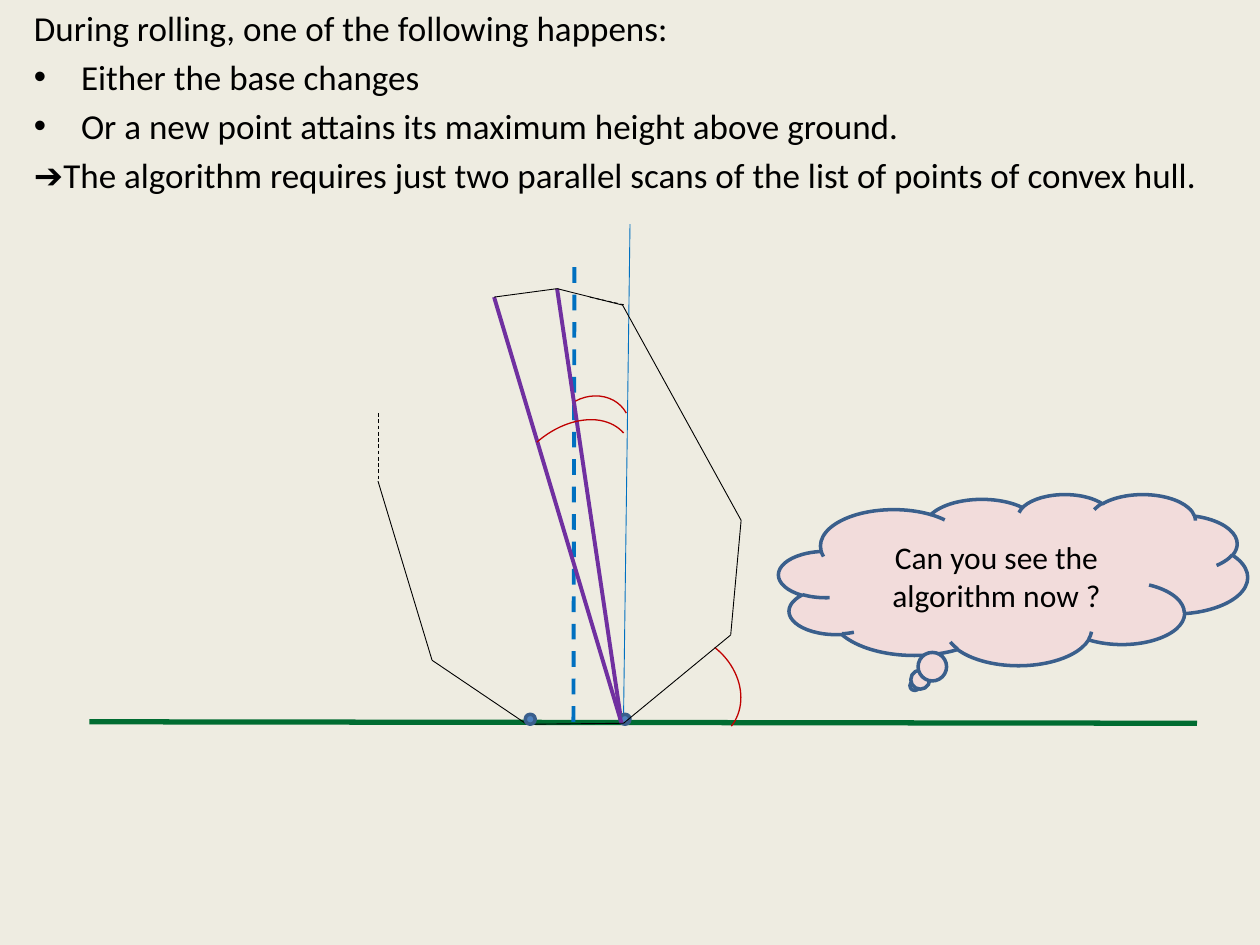
import itertools

import pptx
import pptx.dml.color
import pptx.enum.dml
import pptx.enum.shapes
import pptx.enum.text
import pptx.oxml.ns
import pptx.util
from lxml import etree

Cm = pptx.util.Cm
Pt = pptx.util.Pt
SHAPE = pptx.enum.shapes.MSO_SHAPE

COLORS = {
    "background": "EEECE1",
    "text": "000000",
    "ground": "006C31",
    "vertical": "0070C0",
    "diagonal": "7030A0",
    "hull": "000000",
    "angle": "C00000",
    "point": "4F81BD",
    "outline": "3A5F8C",
    "cloud": "F2DCDB",
}
FONT = "Calibri"
STATEMENTS = [
    ("During rolling, one of the following happens:", False),
    ("Either the base changes", True),
    ("Or a new point attains its maximum height above ground.", True),
    ("➔The algorithm requires just two parallel scans of the list of points of convex hull.", False),
]


def rgb(name):
    return pptx.dml.color.RGBColor.from_string(COLORS[name])


def style_font(paragraph, size):
    paragraph.font.name = FONT
    paragraph.font.size = Pt(size)
    paragraph.font.color.rgb = rgb("text")


def set_bullet(paragraph, bulleted):
    properties = paragraph._p.get_or_add_pPr()
    indent = Cm(0.95) if bulleted else 0
    properties.set("marL", str(indent))
    properties.set("indent", str(-indent))
    if bulleted:
        font = etree.SubElement(properties, pptx.oxml.ns.qn("a:buFont"))
        font.set("typeface", "Arial")
        bullet = etree.SubElement(properties, pptx.oxml.ns.qn("a:buChar"))
        bullet.set("char", "•")
    else:
        etree.SubElement(properties, pptx.oxml.ns.qn("a:buNone"))


def add_line(slide, box, start, end, color, width, dashed=False):
    left, top = box
    line = slide.shapes.add_connector(
        pptx.enum.shapes.MSO_CONNECTOR.STRAIGHT,
        Cm(left + start[0]), Cm(top + start[1]),
        Cm(left + end[0]), Cm(top + end[1]),
    )
    line.line.color.rgb = rgb(color)
    line.line.width = Pt(width)
    if dashed:
        line.line.dash_style = pptx.enum.dml.MSO_LINE.DASH
    etree.SubElement(line._element.spPr, pptx.oxml.ns.qn("a:effectLst"))


def add_outlined(slide, kind, left, top, width, height, line_color, line_width, fill=None):
    shape = slide.shapes.add_shape(kind, Cm(left), Cm(top), Cm(width), Cm(height))
    shape.shadow.inherit = False
    shape.line.color.rgb = rgb(line_color)
    shape.line.width = Pt(line_width)
    if fill:
        shape.fill.solid()
        shape.fill.fore_color.rgb = rgb(fill)
    else:
        shape.fill.background()
    return shape


def add_point(slide, box, x, y):
    add_outlined(slide, SHAPE.OVAL, box[0] + x, box[1] + y, 0.2, 0.2, "outline", 2, "point")


def add_angle(slide, box, x, y, width, height, rotation):
    arc = add_outlined(slide, SHAPE.ARC, box[0] + x, box[1] + y, width, height, "angle", 0.75)
    arc.rotation = rotation


def fill_statements(slide, left, top, width, height):
    body = slide.placeholders[1]
    body.left, body.top, body.width, body.height = Cm(left), Cm(top), Cm(width), Cm(height)
    frame = body.text_frame
    frame.word_wrap = True
    frame.vertical_anchor = pptx.enum.text.MSO_ANCHOR.TOP
    for number, (statement, bulleted) in enumerate(STATEMENTS):
        paragraph = frame.add_paragraph() if number else frame.paragraphs[0]
        paragraph.text = statement
        paragraph.space_before = Pt(4 if number else 0)
        set_bullet(paragraph, bulleted)
        style_font(paragraph, 20)


def draw_rolling_hull(slide, left, top):
    box = (left, top)
    far_left, apex, shoulder = (8.16, 1.47), (9.43, 1.3), (10.75, 1.63)
    pivot, diagonal_foot = (10.77, 10.06), (10.73, 10.06)
    left_end = (5.82, 5.18)
    hull = [
        apex, shoulder, (13.14, 5.97), (12.93, 8.28),
        pivot, (8.82, 10.08), (6.91, 8.79), left_end,
    ]

    add_line(slide, box, (0, 10.03), (22.33, 10.06), "ground", 3)
    add_line(slide, box, (9.76, 10.03), (9.78, 0.76), "vertical", 2.25, True)
    add_line(slide, box, apex, diagonal_foot, "diagonal", 2.25)
    add_line(slide, box, (10.9, 0), (10.77, 9.93), "vertical", 0.5)
    add_point(slide, box, 10.7, 9.88)
    add_angle(slide, box, 10.72, 8.31, 2.49, 2.08, 38.2)
    add_angle(slide, box, 9.35, 3.48, 1.57, 1.4, 331.6)
    add_line(slide, box, far_left, diagonal_foot, "diagonal", 2.25)
    add_angle(slide, box, 8.26, 4.14, 2.87, 2.03, 318.7)
    for start, end in itertools.pairwise([far_left] + hull):
        add_line(slide, box, start, end, "hull", 0.5)
    add_line(slide, box, (5.82, 3.81), left_end, "hull", 0.5, True)
    add_line(slide, box, (10.09, 1.47), (10.8, 1.63), "hull", 0.5, True)
    add_point(slide, box, 8.79, 9.88)


def add_question(slide, left, top, width, height):
    cloud = add_outlined(
        slide, SHAPE.CLOUD_CALLOUT, left, top, width, height, "outline", 2, "cloud"
    )
    cloud.adjustments[0] = -0.21
    cloud.adjustments[1] = 0.62
    frame = cloud.text_frame
    frame.word_wrap = True
    frame.vertical_anchor = pptx.enum.text.MSO_ANCHOR.MIDDLE
    question = frame.paragraphs[0]
    question.text = "Can you see the algorithm now ?"
    question.alignment = pptx.enum.text.PP_ALIGN.CENTER
    style_font(question, 18)


def main():
    deck = pptx.Presentation()
    deck.slide_width, deck.slide_height = Cm(25.4), Cm(19.05)
    slide = deck.slides.add_slide(deck.slide_layouts[1])
    title = slide.shapes.title._element
    title.getparent().remove(title)
    slide.background.fill.solid()
    slide.background.fill.fore_color.rgb = rgb("background")
    fill_statements(slide, 0.43, 0, 24.97, 17.02)
    draw_rolling_hull(slide, 1.8, 4.52)
    add_question(slide, 15.7, 9.96, 9.45, 3.45)
    deck.save("out.pptx")


if __name__ == "__main__":
    main()
